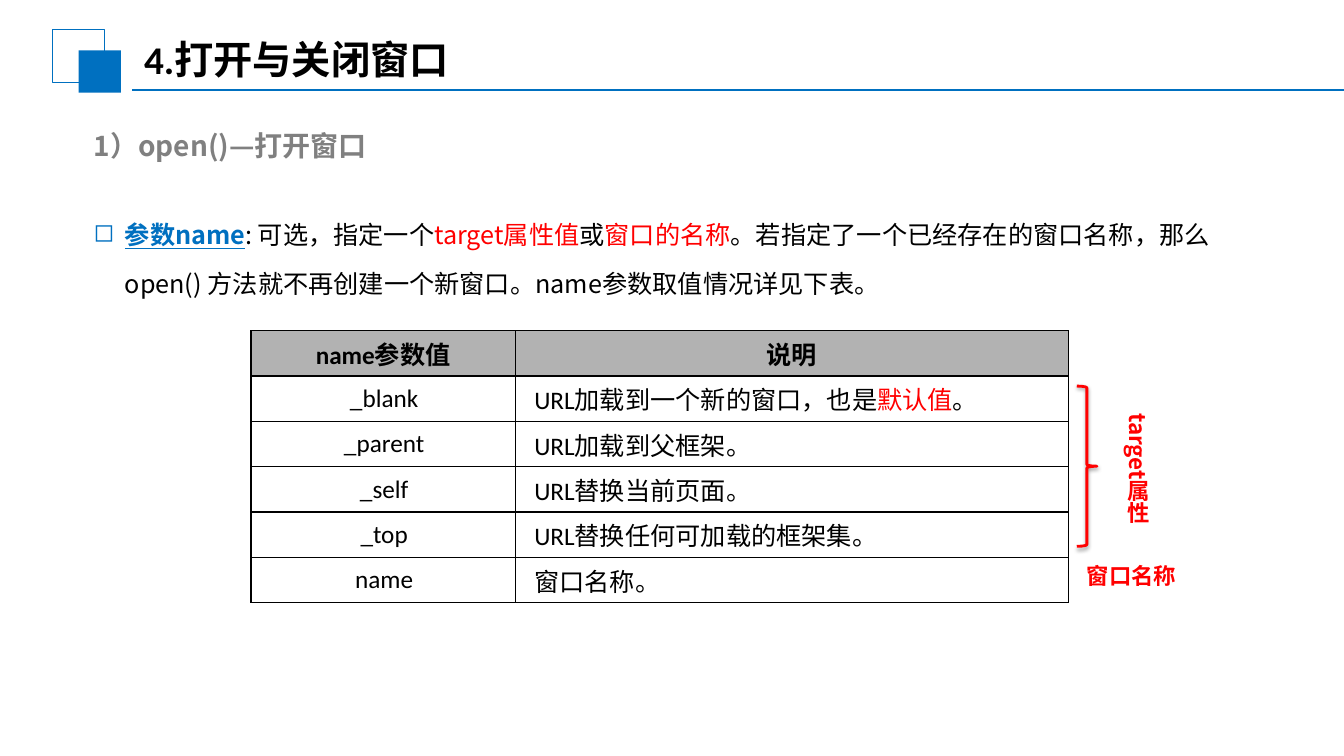
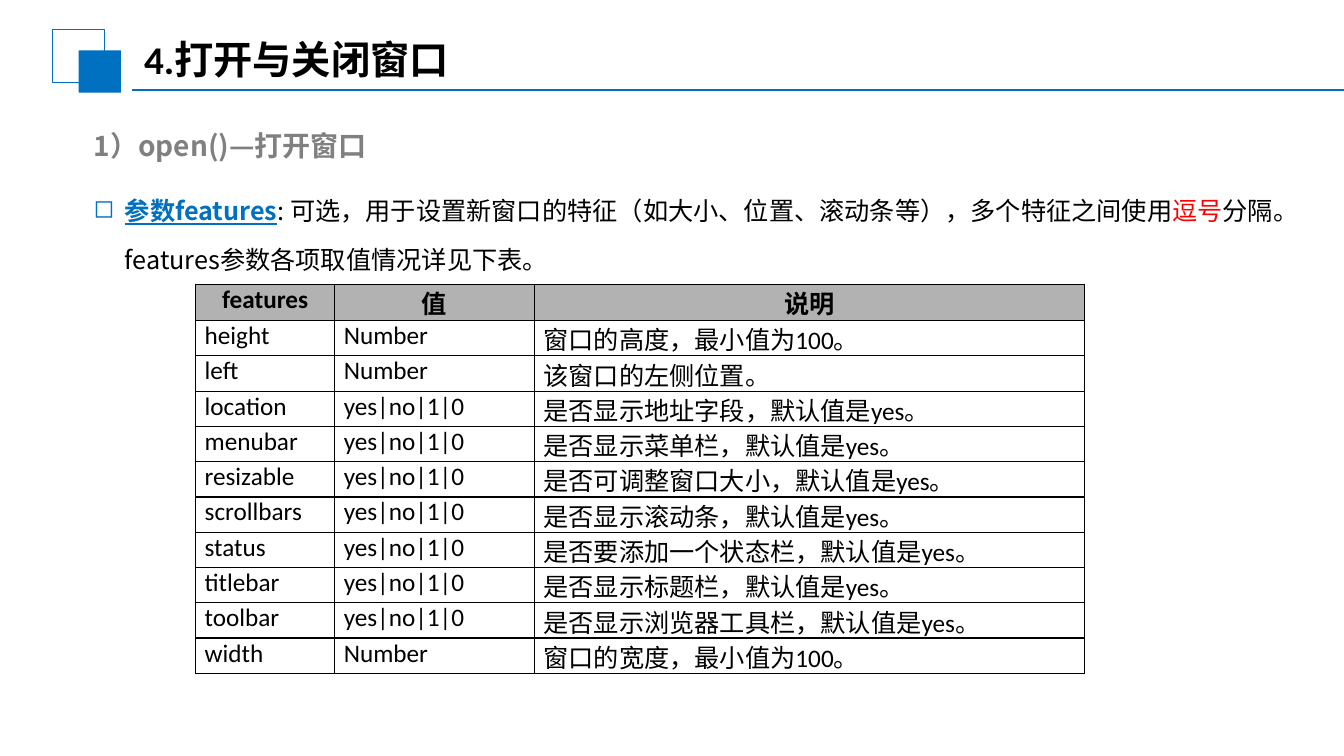
from lxml.etree import SubElement
from pptx import Presentation
from pptx.dml.color import RGBColor
from pptx.enum.shapes import MSO_CONNECTOR, MSO_SHAPE
from pptx.enum.text import MSO_ANCHOR, MSO_AUTO_SIZE, PP_ALIGN
from pptx.oxml.ns import qn
from pptx.util import Inches, Pt

COLORS = {
    "blue": "0070C0",
    "red": "FF0000",
    "gray": "808080",
    "header": "B2B2B2",
    "black": "000000",
}
LATIN_FONT = "Calibri"
CJK_FONT = "Noto Sans CJK SC"

TITLE = "4.打开与关闭窗口"
SUBTITLE = "1）open()—打开窗口"

NAME_INTRO = [
    ("参数name", "term"),
    (": 可选，指定一个", "plain"),
    ("target属性值", "alert"),
    ("或", "plain"),
    ("窗口的名称", "alert"),
    ("。若指定了一个已经存在的窗口名称，那么 open() 方法就不再创建一个新窗口。"
     "name参数取值情况详见下表。", "plain"),
]
NAME_ROWS = [
    ["name参数值", "说明"],
    ["_blank", [("URL加载到一个新的窗口，也是", "plain"), ("默认值", "alert"), ("。", "plain")]],
    ["_parent", "URL加载到父框架。"],
    ["_self", "URL替换当前页面。"],
    ["_top", "URL替换任何可加载的框架集。"],
    ["name", "窗口名称。"],
]

FEATURES_INTRO = [
    ("参数features", "term"),
    (": 可选，用于设置新窗口的特征（如大小、位置、滚动条等），多个特征之间使用", "plain"),
    ("逗号", "alert"),
    ("分隔。features参数各项取值情况详见下表。", "plain"),
]
SWITCH = "yes|no|1|0"
FEATURE_ROWS = [
    ["features", "值", "说明"],
    ["height", "Number", "窗口的高度，最小值为100。"],
    ["left", "Number", "该窗口的左侧位置。"],
    ["location", SWITCH, "是否显示地址字段，默认值是yes。"],
    ["menubar", SWITCH, "是否显示菜单栏，默认值是yes。"],
    ["resizable", SWITCH, "是否可调整窗口大小，默认值是yes。"],
    ["scrollbars", SWITCH, "是否显示滚动条，默认值是yes。"],
    ["status", SWITCH, "是否要添加一个状态栏，默认值是yes。"],
    ["titlebar", SWITCH, "是否显示标题栏，默认值是yes。"],
    ["toolbar", SWITCH, "是否显示浏览器工具栏，默认值是yes。"],
    ["width", "Number", "窗口的宽度，最小值为100。"],
]


def rgb(color):
    return RGBColor.from_string(COLORS[color])


def format_run(run, font_name, size, color, bold=False, underline=False):
    font = run.font
    font.name = font_name
    font.size = Pt(size)
    font.bold = bold
    font.underline = underline
    font.color.rgb = rgb(color)
    SubElement(run._r.get_or_add_rPr(), qn("a:ea")).set("typeface", CJK_FONT)


def write_parts(paragraph, parts, font_name, size, color="black", bold=False):
    """Write a string, or (text, role) pairs whose role is plain, term or alert."""
    if isinstance(parts, str):
        parts = [(parts, "plain")]
    role_colors = {"plain": color, "term": "blue", "alert": "red"}
    for text, role in parts:
        run = paragraph.add_run()
        run.text = text
        is_term = role == "term"
        format_run(run, font_name, size, role_colors[role], bold or is_term, is_term)


def add_text(shapes, box, parts, size, color="black", font_name=CJK_FONT, bold=True, wrap=True):
    """Add a text box and return its frame."""
    frame = shapes.add_textbox(*map(Inches, box)).text_frame
    frame.word_wrap = wrap
    frame.auto_size = MSO_AUTO_SIZE.SHAPE_TO_FIT_TEXT
    write_parts(frame.paragraphs[0], parts, font_name, size, color, bold)
    return frame


def add_outline(shapes, preset, box, color, width):
    """Add an unfilled preset shape."""
    shape = shapes.add_shape(preset, *map(Inches, box))
    shape.shadow.inherit = False
    shape.fill.background()
    shape.line.color.rgb = rgb(color)
    shape.line.width = Pt(width)
    return shape


def add_heading(slide):
    """Draw the emblem, rule, title and subtitle that every slide shares."""
    shapes = slide.shapes
    add_outline(shapes, MSO_SHAPE.RECTANGLE, (0.52, 0.29, 0.52, 0.53), "blue", 0.75)
    emblem = shapes.add_shape(MSO_SHAPE.RECTANGLE, *map(Inches, (0.78, 0.5, 0.42, 0.42)))
    emblem.shadow.inherit = False
    emblem.fill.solid()
    emblem.fill.fore_color.rgb = rgb("blue")
    emblem.line.fill.background()

    rule = shapes.add_connector(MSO_CONNECTOR.STRAIGHT, *map(Inches, (1.31, 0.89, 13.33, 0.89)))
    rule.line.color.rgb = rgb("blue")
    rule.line.width = Pt(1.25)
    SubElement(rule._element.spPr, qn("a:effectLst"))

    subtitle = add_text(shapes, (0.83, 1.07, 12.06, 0.54), SUBTITLE, 20, "gray")
    subtitle.paragraphs[0].line_spacing = Pt(35)

    title = add_text(shapes, (1.3, 0.29, 7.89, 0.58), TITLE, 28, font_name=LATIN_FONT)
    title.auto_size = MSO_AUTO_SIZE.NONE
    title.vertical_anchor = MSO_ANCHOR.MIDDLE
    title.margin_left = title.margin_right = Inches(0.13)
    title.margin_top = title.margin_bottom = Inches(0.07)


def add_intro(slide, top, parts):
    """Add the bulleted explanation of a parameter."""
    frame = add_text(slide.shapes, (0.83, top, 12.06, 1.08), parts, 18, bold=False)
    paragraph = frame.paragraphs[0]
    properties = paragraph._p.get_or_add_pPr()
    properties.set("marL", str(Inches(0.31)))
    properties.set("indent", str(-Inches(0.31)))
    SubElement(properties, qn("a:buChar")).set("char", "◻")
    paragraph.line_spacing = Pt(35)


def add_borders(cell):
    properties = cell._tc.get_or_add_tcPr()
    for side in ("lnL", "lnR", "lnT", "lnB"):
        border = SubElement(properties, qn(f"a:{side}"), w=str(Pt(1)))
        fill = SubElement(border, qn("a:solidFill"))
        SubElement(fill, qn("a:srgbClr"), val=COLORS["black"])


def fill_cell(cell, content, is_header, anchor, centered, indent):
    cell.margin_left = cell.margin_right = Inches(0.07)
    cell.margin_top = cell.margin_bottom = 0
    cell.vertical_anchor = anchor
    add_borders(cell)
    paragraph = cell.text_frame.paragraphs[0]
    if is_header:
        cell.fill.solid()
        cell.fill.fore_color.rgb = rgb("header")
    else:
        cell.fill.background()
        paragraph._p.get_or_add_pPr().set("marL", str(Inches(indent)))
    paragraph.alignment = PP_ALIGN.CENTER if is_header or centered else PP_ALIGN.LEFT
    write_parts(paragraph, content, LATIN_FONT, 18, bold=is_header)


def add_grid(slide, left, top, widths, heights, rows, indents, anchor, centered_columns=()):
    """Add a bordered table with a gray header row."""
    box = (left, top, sum(widths), sum(heights))
    table = slide.shapes.add_table(len(rows), len(widths), *map(Inches, box)).table
    table.first_row = table.horz_banding = False
    for column, width in zip(table.columns, widths):
        column.width = Inches(width)
    for row_index, (row, height) in enumerate(zip(rows, heights)):
        table.rows[row_index].height = Inches(height)
        for column_index, content in enumerate(row):
            fill_cell(table.cell(row_index, column_index), content, row_index == 0, anchor,
                      column_index in centered_columns, indents[column_index])


def add_target_brace(slide):
    """Group the brace beside the target values with its vertical label."""
    group = slide.shapes.add_group_shape()
    label = add_text(group.shapes, (11, 4, 0.47, 1.72), "target属性", 16, "red")
    label._txBody.bodyPr.set("vert", "eaVert")
    brace = add_outline(group.shapes, MSO_SHAPE.RIGHT_BRACE, (10.68, 3.83, 0.2, 1.59), "red", 2)
    effects = brace._element.spPr.find(qn("a:effectLst"))
    shadow = SubElement(effects, qn("a:outerShdw"), blurRad=str(Pt(3.1)), dist=str(Pt(1.6)),
                        dir="5400000", rotWithShape="0")
    tint = SubElement(shadow, qn("a:srgbClr"), val=COLORS["black"])
    SubElement(tint, qn("a:alpha"), val="38000")


def add_slide(presentation):
    slide = presentation.slides.add_slide(presentation.slide_layouts[6])
    add_heading(slide)
    return slide


def add_name_slide(presentation):
    slide = add_slide(presentation)
    add_intro(slide, 1.94, NAME_INTRO)
    add_grid(slide, 2.49, 3.28, [2.62, 5.49], [0.45] * len(NAME_ROWS), NAME_ROWS,
             [0.02, 0.12], MSO_ANCHOR.MIDDLE, centered_columns=(0,))
    add_target_brace(slide)
    add_text(slide.shapes, (10.68, 5.53, 1.1, 0.37), "窗口名称", 16, "red", wrap=False)


def add_features_slide(presentation):
    slide = add_slide(presentation)
    add_intro(slide, 1.7, FEATURES_INTRO)
    heights = [0.36] + [0.35] * (len(FEATURE_ROWS) - 1)
    add_grid(slide, 1.94, 2.82, [1.38, 1.98, 5.46], heights, FEATURE_ROWS,
             [0.02] * 3, MSO_ANCHOR.TOP)


def main():
    presentation = Presentation()
    presentation.slide_width = Inches(13.33)
    presentation.slide_height = Inches(7.5)
    add_name_slide(presentation)
    add_features_slide(presentation)
    presentation.save("out.pptx")


if __name__ == "__main__":
    main()
